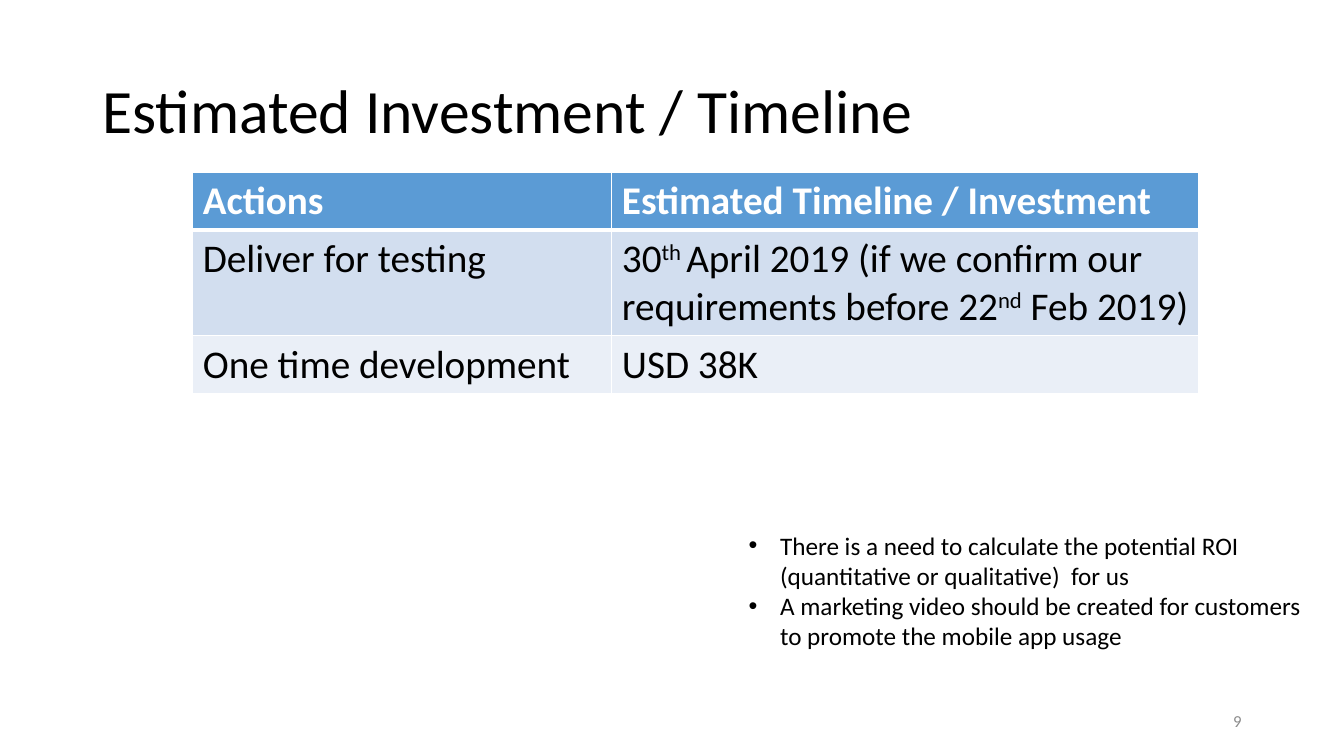
from dataclasses import dataclass

import pptx
import pptx.dml.color
import pptx.enum.text
import pptx.oxml
import pptx.oxml.ns
import pptx.util
from lxml import etree

Cm = pptx.util.Cm
Pt = pptx.util.Pt
RGBColor = pptx.dml.color.RGBColor
Align = pptx.enum.text.PP_ALIGN
Anchor = pptx.enum.text.MSO_ANCHOR
qn = pptx.oxml.ns.qn

FONT = "Calibri"
BLACK = RGBColor(0x00, 0x00, 0x00)
WHITE = RGBColor(0xFF, 0xFF, 0xFF)
GREY = RGBColor(0x8C, 0x8C, 0x8C)
HEADER_BLUE = RGBColor(0x5B, 0x9B, 0xD5)
BAND_DARK = RGBColor(0xD2, 0xDE, 0xEF)
BAND_LIGHT = RGBColor(0xEA, 0xEF, 0xF7)


@dataclass(frozen=True)
class Piece:
    text: str
    superscript: bool = False


@dataclass(frozen=True)
class TextBlock:
    left: float
    top: float
    width: float
    height: float
    paragraphs: tuple[str, ...]
    size: int
    color: RGBColor = BLACK
    align: Align = Align.LEFT
    anchor: Anchor = Anchor.TOP
    line_spacing: float = 1.0
    bulleted: bool = False


@dataclass(frozen=True)
class TableRow:
    height: float
    fill: RGBColor
    cells: tuple[tuple[Piece, ...], ...]
    color: RGBColor = BLACK
    bold: bool = False


TEXT_BLOCKS = (
    TextBlock(2.33, 1.01, 29.21, 3.68, ("Estimated Investment / Timeline",), 44,
              anchor=Anchor.MIDDLE, line_spacing=0.9),
    TextBlock(23.92, 17.66, 7.62, 1.01, ("9",), 12, GREY, Align.RIGHT, Anchor.MIDDLE),
    TextBlock(18.62, 13.23, 14.58, 3.33, (
        "There is a need to calculate the potential ROI (quantitative or qualitative)  for us",
        "A marketing video should be created for customers to promote the mobile app usage",
    ), 18, bulleted=True),
)

COLUMN_WIDTHS = (10.56, 14.78)
TABLE_ROWS = (
    TableRow(1.45, HEADER_BLUE,
             ((Piece("Actions"),), (Piece("Estimated Timeline / Investment"),)),
             WHITE, True),
    TableRow(2.66, BAND_DARK, (
        (Piece("Deliver for testing"),),
        (Piece("30"), Piece("th ", True),
         Piece("April 2019 (if we confirm our requirements before 22"),
         Piece("nd", True), Piece(" Feb 2019)")),
    )),
    TableRow(1.45, BAND_LIGHT,
             ((Piece("One time development"),), (Piece("USD 38K"),))),
)


def add_run(paragraph: "pptx.text.text._Paragraph", piece: Piece, size: int,
            color: RGBColor, bold: bool = False) -> None:
    run = paragraph.add_run()
    run.text = piece.text
    run.font.name = FONT
    run.font.size = Pt(size)
    run.font.bold = bold
    run.font.color.rgb = color
    if piece.superscript:
        run._r.get_or_add_rPr().set("baseline", "30000")


def add_bullet(paragraph: "pptx.text.text._Paragraph") -> None:
    properties = paragraph._p.get_or_add_pPr()
    indent = Cm(0.79)
    properties.set("marL", str(indent))
    properties.set("indent", str(-indent))
    etree.SubElement(properties, qn("a:buFont")).set("typeface", "Arial")
    etree.SubElement(properties, qn("a:buChar")).set("char", "•")


def add_text(slide: "pptx.slide.Slide", block: TextBlock) -> None:
    shape = slide.shapes.add_textbox(
        Cm(block.left), Cm(block.top), Cm(block.width), Cm(block.height))
    frame = shape.text_frame
    frame.word_wrap = True
    frame.vertical_anchor = block.anchor
    for index, text in enumerate(block.paragraphs):
        paragraph = frame.add_paragraph() if index else frame.paragraphs[0]
        paragraph.alignment = block.align
        paragraph.line_spacing = block.line_spacing
        if block.bulleted:
            add_bullet(paragraph)
        add_run(paragraph, Piece(text), block.size, block.color)


def set_borders(cell: "pptx.table._Cell", top: int, bottom: int) -> None:
    properties = cell._tc.get_or_add_tcPr()
    widths = {"a:lnL": 1, "a:lnR": 1, "a:lnT": top, "a:lnB": bottom}
    # Border lines come before the fill in a cell
    for position, (tag, width) in enumerate(widths.items()):
        line = pptx.oxml.parse_xml(
            f'<{tag} {pptx.oxml.ns.nsdecls("a")} w="{Pt(width)}"><a:solidFill>'
            f'<a:srgbClr val="{WHITE}"/></a:solidFill></{tag}>')
        properties.insert(position, line)


def add_timeline_table(slide: "pptx.slide.Slide") -> None:
    table = slide.shapes.add_table(
        len(TABLE_ROWS), len(COLUMN_WIDTHS), Cm(4.86), Cm(4.35),
        Cm(sum(COLUMN_WIDTHS)), Cm(sum(row.height for row in TABLE_ROWS))).table
    for column, width in zip(table.columns, COLUMN_WIDTHS):
        column.width = Cm(width)
    for row_index, row in enumerate(TABLE_ROWS):
        table.rows[row_index].height = Cm(row.height)
        for column_index, pieces in enumerate(row.cells):
            cell = table.cell(row_index, column_index)
            cell.fill.solid()
            cell.fill.fore_color.rgb = row.fill
            # The rule under the header is thicker
            set_borders(cell, top=3 if row_index == 1 else 1,
                        bottom=3 if row_index == 0 else 1)
            for piece in pieces:
                add_run(cell.text_frame.paragraphs[0], piece, 28, row.color, row.bold)


def main() -> None:
    presentation = pptx.Presentation()
    presentation.slide_width = Cm(33.87)
    presentation.slide_height = Cm(19.05)
    slide = presentation.slides.add_slide(presentation.slide_layouts[6])

    # Title, page number and notes on next steps
    for block in TEXT_BLOCKS:
        add_text(slide, block)

    # Timeline and investment table
    add_timeline_table(slide)

    presentation.save("out.pptx")


if __name__ == "__main__":
    main()
